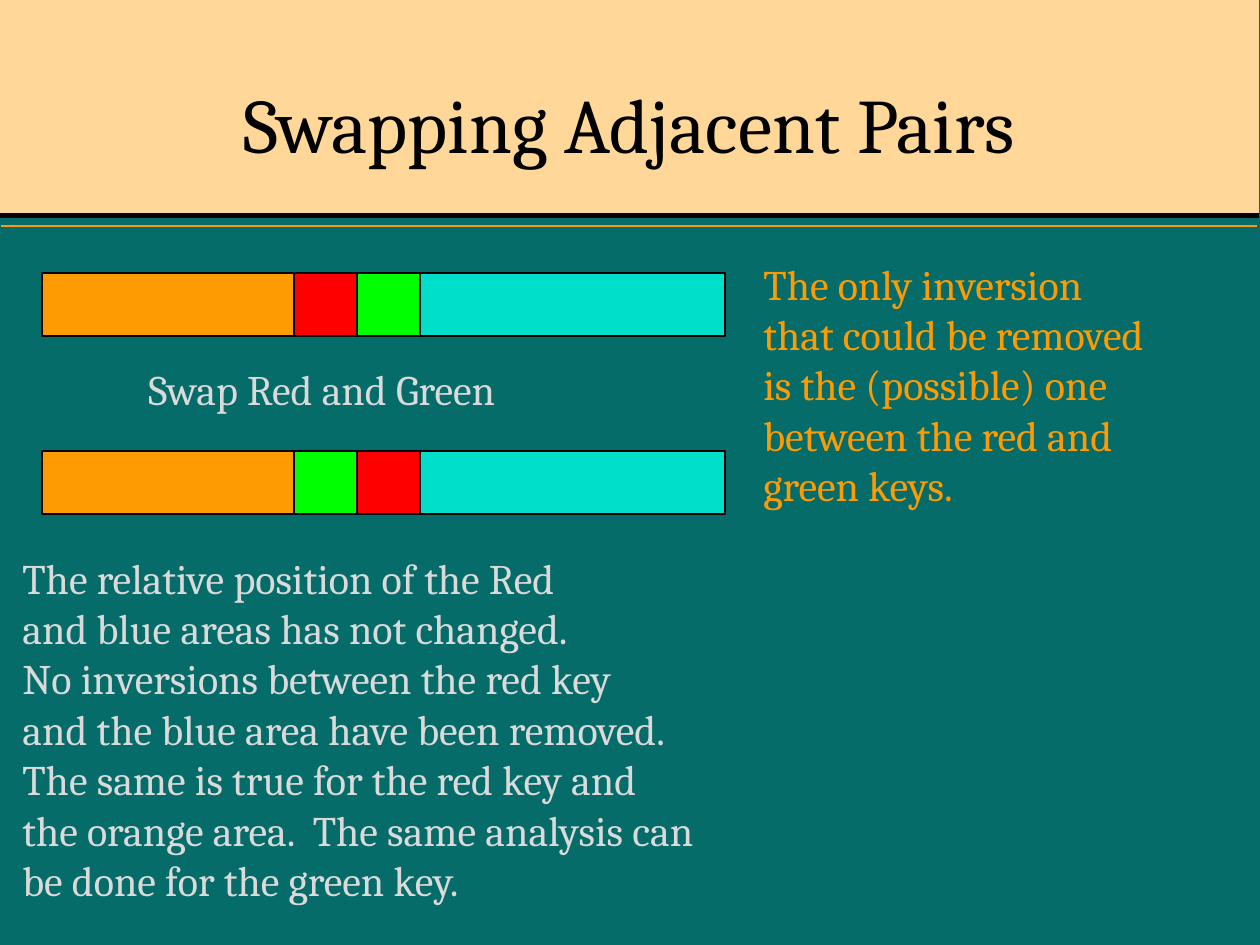
"""Build the slide on swapping adjacent pairs of keys."""
from dataclasses import dataclass

from pptx import Presentation
from pptx import util as u
from pptx.dml.color import RGBColor
from pptx.enum import shapes, text
from pptx.oxml.ns import qn
from lxml import etree

PX = 914400 / 126
FONT = "Cambria"
COLORS = {
    "teal": "056C69",
    "sand": "FFD798",
    "black": "000000",
    "orange": "FE9B03",
    "red": "FF0000",
    "green": "00FF00",
    "blue": "00DFCA",
    "gray": "DADADA",
}
KEY_WIDTHS = {"orange": 252, "red": 63, "green": 63, "blue": 305}
ROW_LEFT, ROW_HEIGHT = 42, 63


@dataclass
class Row:
    top: int
    keys: tuple[str, ...]


@dataclass
class Note:
    left: int
    top: int
    width: int
    height: int
    color: str
    lines: tuple[str, ...]


ROWS = [
    Row(273, ("orange", "red", "green", "blue")),
    Row(451, ("orange", "green", "red", "blue")),
]
NOTES = [
    Note(136, 357, 440, 63, "gray", ("Swap Red and Green",)),
    Note(10, 546, 819, 365, "gray", (
        "The relative position of the Red",
        "and blue areas has not changed.",
        "No inversions between the red key",
        "and the blue area have been removed.",
        "The same is true for the red key and",
        "the orange area.  The same analysis can",
        "be done for the green key.",
    )),
    Note(751, 252, 475, 315, "orange", (
        "The only inversion",
        "that could be removed",
        "is the (possible) one",
        "between the red and",
        "green keys.",
    )),
]


def px(n: int) -> u.Emu:
    return u.Emu(round(n * PX))


def rgb(name: str) -> RGBColor:
    return RGBColor.from_string(COLORS[name])


def style(p, size: int, color: str) -> None:
    p.font.name = FONT
    p.font.size = u.Pt(size)
    p.font.color.rgb = rgb(color)


def add_rect(s, left: int, top: int, width: int, height: int, color: str, outlined: bool = False):
    sp = s.shapes.add_shape(shapes.MSO_SHAPE.RECTANGLE, px(left), px(top), px(width), px(height))
    sp.shadow.inherit = False
    sp.fill.solid()
    sp.fill.fore_color.rgb = rgb(color)
    if outlined:
        sp.line.color.rgb = rgb("black")
        sp.line.width = u.Pt(1)
    else:
        sp.line.fill.background()
    return sp


def add_rule(s, left: int, right: int, y: int, color: str):
    line = s.shapes.add_connector(shapes.MSO_CONNECTOR.STRAIGHT, px(left), px(y), px(right), px(y))
    line.line.color.rgb = rgb(color)
    line.line.width = u.Pt(1)
    etree.SubElement(line.element.spPr, qn("a:effectLst"))
    return line


def add_header(s, title: str) -> None:
    sp = s.shapes.title
    for part in (
        add_rect(s, 0, 0, 1259, 213, "sand"),
        add_rect(s, 0, 213, 1259, 5, "black"),
        add_rule(s, 1, 1257, 226, "orange"),
    ):
        sp.element.addprevious(part.element)
    sp.left, sp.top, sp.width, sp.height = px(94), px(47), px(1071), px(152)
    tf = sp.text_frame
    tf.text = title
    tf.auto_size = text.MSO_AUTO_SIZE.NONE
    tf.vertical_anchor = text.MSO_ANCHOR.MIDDLE
    p = tf.paragraphs[0]
    p.alignment = text.PP_ALIGN.CENTER
    style(p, 44, "black")


def add_row(s, row: Row) -> None:
    left = ROW_LEFT
    for key in row.keys:
        add_rect(s, left, row.top, KEY_WIDTHS[key], ROW_HEIGHT, key, outlined=True)
        left += KEY_WIDTHS[key]


def add_note(s, note: Note) -> None:
    sp = s.shapes.add_textbox(px(note.left), px(note.top), px(note.width), px(note.height))
    tf = sp.text_frame
    tf.text = "\n".join(note.lines)
    tf.word_wrap = False
    tf.auto_size = text.MSO_AUTO_SIZE.SHAPE_TO_FIT_TEXT
    for p in tf.paragraphs:
        style(p, 24, note.color)


def main() -> None:
    prs = Presentation()
    prs.slide_width, prs.slide_height = px(1260), px(945)
    s = prs.slides.add_slide(prs.slide_layouts[5])
    s.background.fill.solid()
    s.background.fill.fore_color.rgb = rgb("teal")
    add_header(s, "Swapping Adjacent Pairs")
    for row in ROWS:
        add_row(s, row)
    for note in NOTES:
        add_note(s, note)
    prs.save("out.pptx")


if __name__ == "__main__":
    main()
